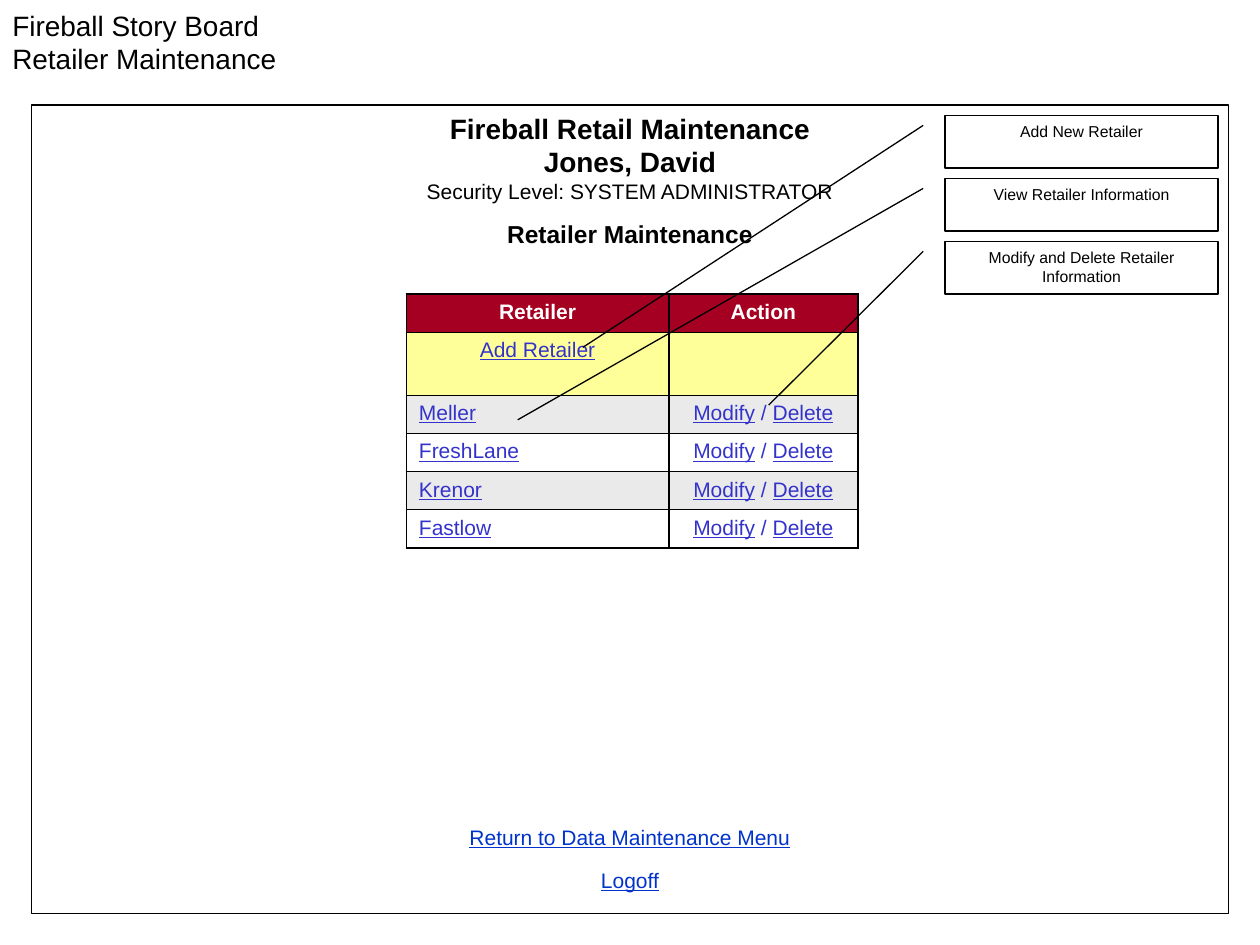
import pptx
import pptx.util
import pptx.dml.color
import pptx.enum.shapes
import pptx.enum.text
import pptx.oxml
import pptx.oxml.ns
from dataclasses import dataclass

ALIGN = pptx.enum.text.PP_ALIGN
ANCHOR = pptx.enum.text.MSO_ANCHOR
SHAPE = pptx.enum.shapes.MSO_SHAPE


@dataclass(frozen=True)
class Theme:
    font: str = "Arial"
    ink: str = "000000"
    paper: str = "FFFFFF"
    header: str = "A50021"
    highlight: str = "FFFF99"
    band: str = "EAEAEA"
    page_link: str = "0033CC"
    table_link: str = "3333CC"
    heading: float = 16
    subheading: float = 14
    body: float = 12
    note: float = 9
    outline: float = 0.75
    table_edge: float = 1.08
    table_rule: float = 0.45


THEME = Theme()
RETAILERS = ["Meller", "FreshLane", "Krenor", "Fastlow"]

# Callout text and the grid point its leader reaches
CALLOUTS = [
    ("Add New Retailer", 55.5, 33.1),
    ("View Retailer Information", 49.3, 40),
    ("Modify and Delete Retailer Information", 73.2, 38.6),
]


def grid(units):
    """Twelve grid units to the inch: 120 columns by 90 rows."""
    return pptx.util.Inches(units / 12)


def rgb(code):
    return pptx.dml.color.RGBColor.from_string(code)


def write(para, text, size=THEME.body, color=THEME.ink, bold=False,
          underline=False, align=ALIGN.CENTER):
    """Append text to a paragraph; each new line becomes a line break."""
    para.alignment = align
    for number, line in enumerate(text.splitlines()):
        if number:
            para.add_line_break()
        span = para.add_run()
        span.text = line
        span.font.name = THEME.font
        span.font.size = pptx.util.Pt(size)
        span.font.color.rgb = rgb(color)
        span.font.bold = bold
        span.font.underline = underline


def add_text(page, left, top, width, height, lines, anchor=ANCHOR.TOP):
    """Add a text box; lines holds one (text, format) pair per paragraph."""
    box = page.shapes.add_textbox(*map(grid, (left, top, width, height)))
    frame = box.text_frame
    frame.word_wrap = True
    frame.vertical_anchor = anchor
    for number, (text, style) in enumerate(lines):
        para = frame.add_paragraph() if number else frame.paragraphs[0]
        write(para, text, **style)


def add_panel(page, kind, left, top, width, height):
    panel = page.shapes.add_shape(kind, *map(grid, (left, top, width, height)))
    panel.shadow.inherit = False
    panel.fill.solid()
    panel.fill.fore_color.rgb = rgb(THEME.paper)
    panel.line.color.rgb = rgb(THEME.ink)
    panel.line.width = pptx.util.Pt(THEME.outline)
    return panel


def add_callout(page, top, text, target_x, target_y):
    left, width, height = 90, 26, 5
    callout = add_panel(page, SHAPE.LINE_CALLOUT_1, left, top, width, height)
    leader = (0.19, -0.08, (target_y - top) / height, (target_x - left) / width)
    for number, share in enumerate(leader):
        callout.adjustments[number] = share
    callout.text_frame.word_wrap = True
    callout.text_frame.vertical_anchor = ANCHOR.TOP
    write(callout.text_frame.paragraphs[0], text, size=THEME.note)


def style_cell(cell, fill, first, last):
    """Fill a cell and border it, with heavier edges round the table."""
    sides = {"L": True, "R": True, "T": first, "B": last}
    properties = cell._tc.get_or_add_tcPr()
    for side, heavy in sides.items():
        width = pptx.util.Pt(THEME.table_edge if heavy else THEME.table_rule)
        properties.append(pptx.oxml.parse_xml(
            f'<a:ln{side} {pptx.oxml.ns.nsdecls("a")} w="{int(width)}">'
            f'<a:solidFill><a:srgbClr val="{THEME.ink}"/></a:solidFill>'
            f'</a:ln{side}>'))
    cell.fill.solid()
    cell.fill.fore_color.rgb = rgb(fill)


def add_retailer_table(page):
    widths = (25, 18)
    heights = [3.64, 6] + [3.64] * len(RETAILERS)
    fills = [THEME.header, THEME.highlight]
    fills += [(THEME.band, THEME.paper)[n % 2] for n in range(len(RETAILERS))]
    table = page.shapes.add_table(
        len(heights), len(widths), grid(38.7), grid(28),
        grid(sum(widths)), grid(sum(heights))).table
    for column, width in zip(table.columns, widths):
        column.width = grid(width)
    for number, (row, height) in enumerate(zip(table.rows, heights)):
        row.height = grid(height)
        for cell in row.cells:
            style_cell(cell, fills[number], number == 0,
                       number == len(heights) - 1)

    def para(row, column):
        return table.cell(row, column).text_frame.paragraphs[0]

    # Header and the row for adding a retailer
    link = dict(color=THEME.table_link, underline=True)
    for column, label in enumerate(("Retailer", "Action")):
        write(para(0, column), label, color=THEME.paper, bold=True)
    write(para(1, 0), "Add Retailer", **link)

    # One row per retailer
    for row, name in enumerate(RETAILERS, start=2):
        write(para(row, 0), name, align=ALIGN.LEFT, **link)
        write(para(row, 1), "Modify", **link)
        write(para(row, 1), " / ", color=THEME.table_link)
        write(para(row, 1), "Delete", **link)


def main():
    deck = pptx.Presentation()
    deck.slide_width, deck.slide_height = grid(120), grid(90)
    page = deck.slides.add_slide(deck.slide_layouts[6])

    # Story board title and screen frame
    add_text(page, 0, 2, 120, 4,
             [("Fireball Story Board\nRetailer Maintenance",
               dict(size=THEME.heading, align=ALIGN.LEFT))], ANCHOR.MIDDLE)
    add_panel(page, SHAPE.RECTANGLE, 3, 10, 114, 77)

    # Screen headings
    heading = dict(size=THEME.heading, bold=True)
    add_text(page, 3, 13, 114, 4, [
        ("Fireball Retail Maintenance", heading),
        ("Jones, David", heading),
        ("Security Level: SYSTEM ADMINISTRATOR", {}),
    ], ANCHOR.MIDDLE)
    add_text(page, 3, 20.3, 114, 4,
             [("Retailer Maintenance", dict(size=THEME.subheading, bold=True))])

    # Retailer table with its callouts
    add_retailer_table(page)
    for number, (text, target_x, target_y) in enumerate(CALLOUTS):
        add_callout(page, 11 + 6 * number, text, target_x, target_y)

    # Links at the foot of the screen
    link = dict(color=THEME.page_link, underline=True)
    for top, text in ((77.9, "Return to Data Maintenance Menu"), (82, "Logoff")):
        add_text(page, 3, top, 114, 3.6, [(text, link)])

    deck.save("out.pptx")


if __name__ == "__main__":
    main()
